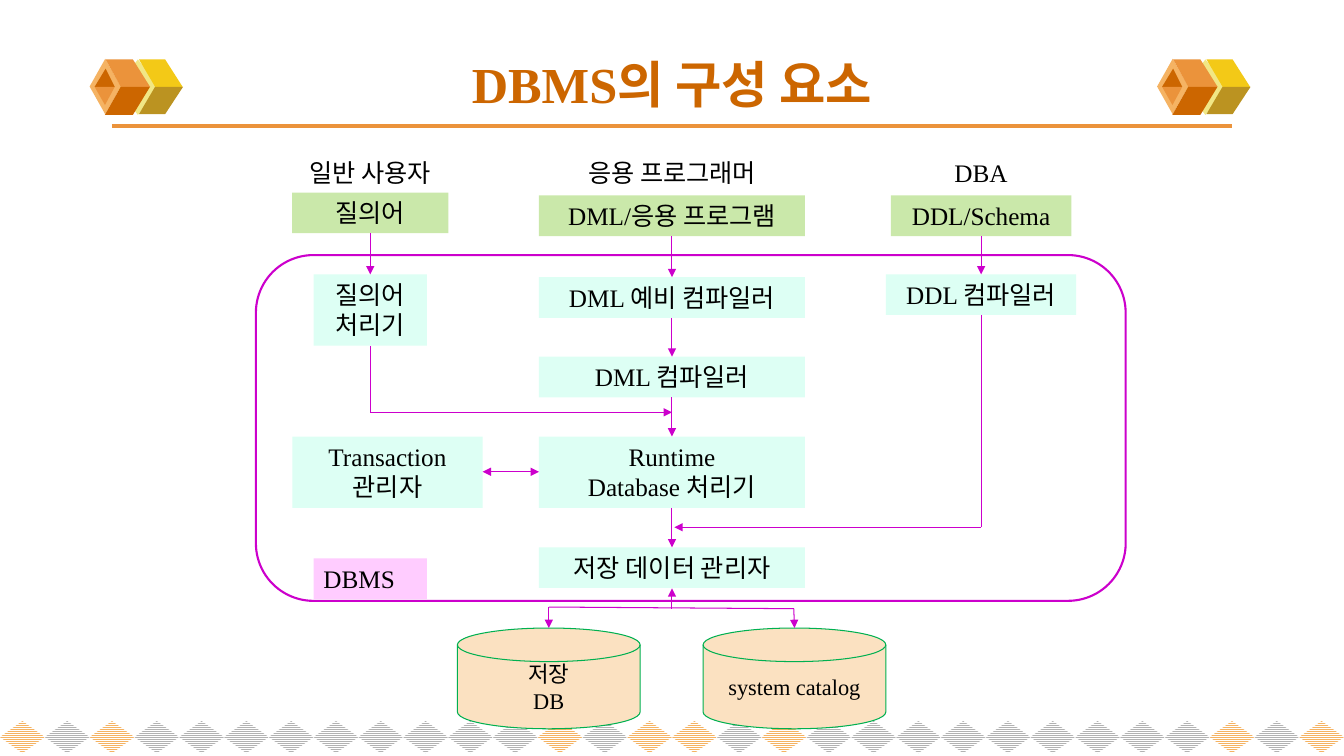
from lxml import etree
from pptx import Presentation
from pptx.dml.color import RGBColor
from pptx.enum.dml import MSO_PATTERN
from pptx.enum.shapes import MSO_CONNECTOR, MSO_SHAPE
from pptx.enum.text import MSO_ANCHOR, PP_ALIGN
from pptx.oxml.ns import qn
from pptx.util import Pt

STRAIGHT = MSO_CONNECTOR.STRAIGHT
DIAMOND, RECT, ROUNDED = MSO_SHAPE.DIAMOND, MSO_SHAPE.RECTANGLE, MSO_SHAPE.ROUNDED_RECTANGLE
DISK = MSO_SHAPE.FLOWCHART_MAGNETIC_DISK
STRIPES = MSO_PATTERN.NARROW_HORIZONTAL
LEFT, CENTER = PP_ALIGN.LEFT, PP_ALIGN.CENTER
TOP, MIDDLE = MSO_ANCHOR.TOP, MSO_ANCHOR.MIDDLE

FONT = "Times New Roman"
BLACK = RGBColor(0x00, 0x00, 0x00)
WHITE = RGBColor(0xFF, 0xFF, 0xFF)
RUST = RGBColor(0xCC, 0x66, 0x00)
ORANGE = RGBColor(0xEB, 0x93, 0x3B)
APRICOT = RGBColor(0xF5, 0xB3, 0x63)
GRAY = RGBColor(0xB2, 0xB2, 0xB2)
PALE_YELLOW = RGBColor(0xF1, 0xE7, 0x85)
YELLOW = RGBColor(0xF3, 0xC9, 0x17)
OLIVE = RGBColor(0xBB, 0x93, 0x21)
GREEN = RGBColor(0xCA, 0xE8, 0xAA)
MINT = RGBColor(0xDD, 0xFF, 0xF4)
PINK = RGBColor(0xFF, 0xCC, 0xFF)
PEACH = RGBColor(0xFB, 0xE1, 0xC1)
DISK_EDGE = RGBColor(0x00, 0xB0, 0x50)
MAGENTA = RGBColor(0xCC, 0x00, 0xCC)

# Content: column centres, then boxes as (text, centre, top, width, fill)
TITLE = "DBMS의 구성 요소"
USER, PROGRAMMER, DBA = 264.5, 480, 700.8
BOXES = [
    ("일반 사용자", USER, 108.7, 111.6, None),
    ("응용 프로그래머", PROGRAMMER, 108.7, 147.6, None),
    ("DBA", DBA, 108.7, 111.6, None),
    ("질의어", USER, 137.5, 111.6, GREEN),
    ("DML/응용 프로그램", PROGRAMMER, 139.6, 190, GREEN),
    ("DDL/Schema", DBA, 139.6, 129, GREEN),
    ("DML 예비 컴파일러", PROGRAMMER, 198, 190, MINT),
    ("DDL 컴파일러", DBA, 196, 136, MINT),
    ("DML 컴파일러", PROGRAMMER, 254.8, 190, MINT),
    ("질의어\n처리기", USER, 196, 81, MINT),
    ("Runtime\nDatabase 처리기", PROGRAMMER, 311.8, 190, MINT),
    ("Transaction\n관리자", 276.8, 311.8, 136, MINT),
    ("저장 데이터 관리자", PROGRAMMER, 391, 190, MINT),
]
BOX_HEIGHTS = {1: 29, 2: 51}
DISKS = [("저장\nDB", 392), ("system catalog", 567.5)]
DISK_TOP, DISK_WIDTH, DISK_HEIGHT = 448.6, 130.5, 72

# Flow lines: points along the route, arrow at start, arrow at end
FLOWS = [
    ([(USER, 166.5), (USER, 196)], False, True),
    ([(PROGRAMMER, 168.6), (PROGRAMMER, 198)], False, True),
    ([(DBA, 168.6), (DBA, 196)], False, True),
    ([(PROGRAMMER, 227), (PROGRAMMER, 254.8)], False, True),
    ([(PROGRAMMER, 283.8), (PROGRAMMER, 311.8)], False, True),
    ([(USER, 247), (USER, 294.5), (PROGRAMMER, 294.5)], False, True),
    ([(344.8, 337), (385, 337)], True, True),
    ([(PROGRAMMER, 362.8), (PROGRAMMER, 391)], False, True),
    ([(DBA, 225), (DBA, 376.6), (481.7, 376.6)], False, True),
    ([(392, 448.6), (392, 433.6), (567, 434.8), (567.5, 448.6)], True, True),
    ([(PROGRAMMER, 420.3), (PROGRAMMER, 434.8)], True, False),
]

# Cube ornament: diamonds as a box, faces as corner points
CUBE_LEFTS, CUBE_TOP = (64, 826.5), 42
CUBE = [
    (PALE_YELLOW, (18.7, 0.5, 31.7, 39.6)),
    (YELLOW, [(46.8, 20), (66.4, 20), (54, 0.5), (35.3, 0.5)]),
    (OLIVE, [(46.8, 20), (66.8, 20), (54, 39.5), (35.3, 39.5)]),
    (APRICOT, (0, 0, 22.3, 39.6)),
    (ORANGE, [(22.3, 20), (43.2, 20), (31, 0.5), (11.5, 0.5)]),
    (RUST, [(22.3, 20), (43.2, 20), (31, 40), (11, 40)]),
    (RUST, [(11.5, 7), (3.6, 20), (18, 20)]),
    (ORANGE, [(11, 33), (3.6, 20), (18, 20)]),
]
BAND_COUNT, BAND_PITCH, BAND_TOP = 30, 32, 515
ORANGE_DIAMONDS = {0, 2, 12, 14, 15, 17, 27, 29}

deck = Presentation()
deck.slide_width, deck.slide_height = Pt(960), Pt(540)
slide = deck.slides.add_slide(deck.slide_layouts[6])


def paint(shape, fill=None, edge=None, weight=0.75):
    shape.shadow.inherit = False
    if fill is None:
        shape.fill.background()
    else:
        shape.fill.solid()
        shape.fill.fore_color.rgb = fill
    if edge is None:
        shape.line.fill.background()
    else:
        shape.line.color.rgb = edge
        shape.line.width = Pt(weight)
    return shape


def add_preset(kind, left, top, width, height, *style):
    shape = slide.shapes.add_shape(kind, Pt(left), Pt(top), Pt(width), Pt(height))
    return paint(shape, *style)


def write(shape, text, size=18, color=BLACK, bold=False, align=CENTER, anchor=TOP):
    frame = shape.text_frame
    frame.text = text
    frame.word_wrap = True
    frame.vertical_anchor = anchor
    for paragraph in frame.paragraphs:
        paragraph.alignment = align
        for run in paragraph.runs:
            run.font.name, run.font.size, run.font.bold = FONT, Pt(size), bold
            run.font.color.rgb = color


def add_line(start, end, color, weight, head=False, tail=False):
    line = slide.shapes.add_connector(STRAIGHT, *(Pt(v) for v in (*start, *end)))
    line.line.color.rgb = color
    line.line.width = Pt(weight)
    outline = line.line._get_or_add_ln()
    for tag, wanted in (("a:headEnd", head), ("a:tailEnd", tail)):
        if wanted:
            etree.SubElement(outline, qn(tag), type="triangle")
    etree.SubElement(line._element.spPr, qn("a:effectLst"))


# Diamond band along the bottom
for i in range(BAND_COUNT):
    diamond = add_preset(DIAMOND, i * BAND_PITCH, BAND_TOP, BAND_PITCH, 23)
    diamond.fill.patterned()
    diamond.fill.pattern = STRIPES
    diamond.fill.fore_color.rgb = APRICOT if i in ORANGE_DIAMONDS else GRAY
    diamond.fill.back_color.rgb = WHITE

# Title with rule and cubes
add_line((80, 90), (880, 90), ORANGE, 2.25)
for cube_left in CUBE_LEFTS:
    for color, outline in CUBE:
        if isinstance(outline, tuple):
            x, y, width, height = outline
            add_preset(DIAMOND, cube_left + x, CUBE_TOP + y, width, height, color)
        else:
            corners = [(Pt(cube_left + x), Pt(CUBE_TOP + y)) for x, y in outline]
            face = slide.shapes.build_freeform(*corners[0])
            face.add_line_segments(corners[1:], close=True)
            paint(face.convert_to_shape(), color)
title = slide.shapes.add_textbox(Pt(48), Pt(29), Pt(864), Pt(61))
write(title, TITLE, 36, RUST, True, anchor=MIDDLE)

# Column labels and component boxes
for text, centre, top, width, fill in BOXES:
    height = BOX_HEIGHTS[len(text.split("\n"))]
    left = centre - width / 2
    if fill is None:
        box = slide.shapes.add_textbox(Pt(left), Pt(top), Pt(width), Pt(height))
    else:
        box = add_preset(RECT, left, top, width, height, fill)
    write(box, text)

# Storage disks
for text, centre in DISKS:
    disk = add_preset(DISK, centre - DISK_WIDTH / 2, DISK_TOP, DISK_WIDTH, DISK_HEIGHT,
                      PEACH, DISK_EDGE)
    write(disk, text, 16, anchor=MIDDLE)

# Flow arrows
for points, head, tail in FLOWS:
    last = len(points) - 2
    for i, (start, end) in enumerate(zip(points, points[1:])):
        add_line(start, end, MAGENTA, 0.75, head and i == 0, tail and i == last)

# DBMS frame and its label
add_preset(ROUNDED, 182.8, 182.2, 621.3, 247, None, MAGENTA, 1.5)
write(add_preset(RECT, 224, 398.9, 81, 29, PINK), "DBMS", align=LEFT)

deck.save("out.pptx")
